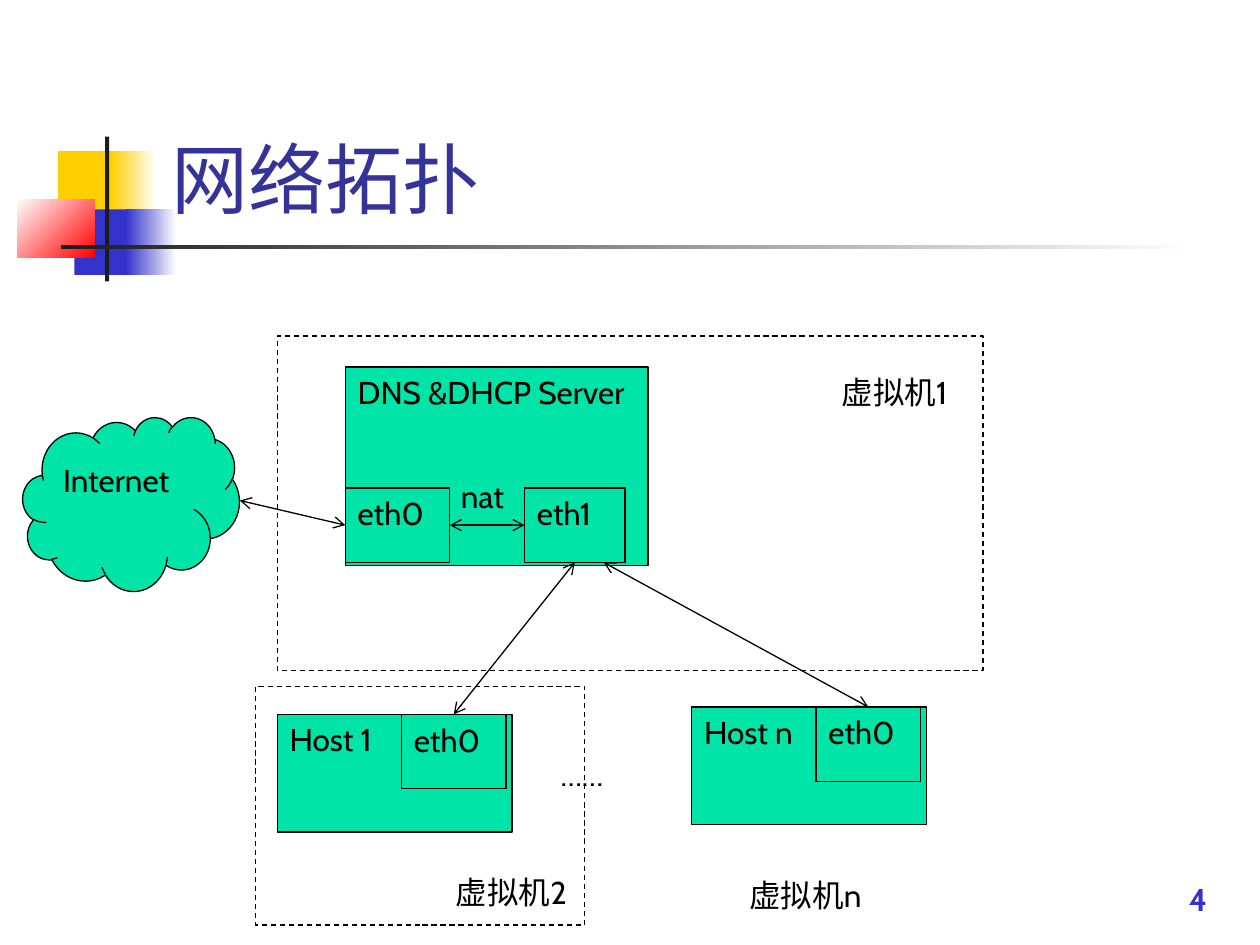
from dataclasses import dataclass

from lxml.etree import SubElement
from pptx import Presentation
from pptx.dml.color import RGBColor
from pptx.enum.dml import MSO_LINE
from pptx.enum.shapes import MSO_CONNECTOR, MSO_SHAPE
from pptx.enum.text import MSO_ANCHOR, MSO_AUTO_SIZE, PP_ALIGN
from pptx.oxml.ns import qn
from pptx.util import Pt


@dataclass(frozen=True)
class Theme:
    """Colours, font and sizes of the slide."""
    font: str = "Cabin"
    title_size: float = 44
    text_size: float = 18
    line_width: float = 0.75
    title: str = "333399"
    text: str = "000000"
    paper: str = "FFFFFF"
    node: str = "00E4A8"
    yellow: str = "FFCF01"
    blue: str = "3333CC"
    red: str = "FF0000"
    bar: str = "1C1C1C"


THEME = Theme()
TOP, LEFT, BOTTOM, RIGHT = 0, 1, 2, 3


def color(value):
    """Return an RGB colour from its hex form."""
    return RGBColor.from_string(value)


def write(shape, text, size=THEME.text_size, ink=THEME.text, bold=False,
          align=PP_ALIGN.LEFT, anchor=MSO_ANCHOR.TOP, margins=(7.2, 3.6),
          wrap=True, grow=False):
    """Put formatted text into a shape."""
    frame = shape.text_frame
    frame.auto_size = MSO_AUTO_SIZE.SHAPE_TO_FIT_TEXT if grow else MSO_AUTO_SIZE.NONE
    frame.word_wrap = wrap
    frame.vertical_anchor = anchor
    frame.margin_left, frame.margin_top = Pt(margins[0]), Pt(margins[1])
    paragraph = frame.paragraphs[0]
    paragraph.alignment = align
    run = paragraph.add_run()
    run.text = text
    run.font.name = THEME.font
    run.font.size = Pt(size)
    run.font.bold = bold
    run.font.color.rgb = color(ink)


def add_box(slide, left, top, width, height, fill, kind=MSO_SHAPE.RECTANGLE,
            fade_to=None, angle=0, outlined=False):
    """Add a preset shape with a plain or fading fill."""
    shape = slide.shapes.add_shape(kind, Pt(left), Pt(top), Pt(width), Pt(height))
    shape.shadow.inherit = False
    if fade_to:
        shape.fill.gradient()
        shape.fill.gradient_angle = angle
        for stop, value, position in zip(shape.fill.gradient_stops, (fill, fade_to), (0, 1)):
            stop.color.rgb = color(value)
            stop.position = position
    else:
        shape.fill.solid()
        shape.fill.fore_color.rgb = color(fill)
    if outlined:
        shape.line.color.rgb = color(THEME.text)
        shape.line.width = Pt(THEME.line_width)
    else:
        shape.line.fill.background()
    return shape


def add_node(slide, text, left, top, width, height, kind=MSO_SHAPE.RECTANGLE, **text_format):
    """Add a labelled green part of the network."""
    node = add_box(slide, left, top, width, height, THEME.node, kind, outlined=True)
    write(node, text, **text_format)
    return node


def add_frame(slide, left, top, width, height):
    """Add the dashed border of a virtual machine."""
    frame = add_box(slide, left, top, width, height, THEME.paper, outlined=True)
    frame.line.dash_style = MSO_LINE.DASH


def add_label(slide, text, left, top, width, height=28.8, **text_format):
    """Add free-standing text."""
    label = slide.shapes.add_textbox(Pt(left), Pt(top), Pt(width), Pt(height))
    write(label, text, **text_format)


def add_link(slide, begin, end):
    """Add a two-headed arrow between points or (shape, side) pairs."""
    link = slide.shapes.add_connector(MSO_CONNECTOR.STRAIGHT, 0, 0, 0, 0)
    if hasattr(begin[0], "shape_id"):
        link.begin_connect(*begin)
    else:
        link.begin_x, link.begin_y = Pt(begin[0]), Pt(begin[1])
    link.end_connect(*end)
    link.line.color.rgb = color(THEME.text)
    link.line.width = Pt(THEME.line_width)
    line = link.line._get_or_add_ln()
    for tag in ("a:headEnd", "a:tailEnd"):
        SubElement(line, qn(tag), type="arrow")
    SubElement(link._element.spPr, qn("a:effectLst"))


def add_host(slide, name, left, top):
    """Add a host and return its network interface."""
    add_node(slide, name, left, top, 134.2, 67.3)
    return add_node(slide, "eth0", left + 71, top, 59.8, 42.5)


def add_decoration(slide):
    """Add the coloured blocks and bars beside the title."""
    add_box(slide, 33.1, 86.4, 34.6, 37.4, THEME.yellow)
    add_box(slide, 63.4, 86.4, 25.9, 37.4, THEME.yellow, fade_to=THEME.paper)
    add_box(slide, 42.5, 119.7, 33.1, 37.4, THEME.blue)
    add_box(slide, 72, 119.7, 28.8, 37.4, THEME.blue, fade_to=THEME.paper)
    add_box(slide, 10, 113.8, 44, 33.5, THEME.paper, fade_to=THEME.red, angle=315)
    add_box(slide, 60, 78, 2.4, 82.8, THEME.bar)
    add_box(slide, 34.9, 140.1, 648, 2.5, THEME.bar, fade_to=THEME.paper)


def add_title(slide, text):
    """Place and fill the title placeholder."""
    title = slide.shapes.title
    title.left, title.top, title.width, title.height = Pt(90.7), Pt(16.6), Pt(613.4), Pt(115.2)
    write(title, text, size=THEME.title_size, ink=THEME.title, anchor=MSO_ANCHOR.BOTTOM)


def add_topology(slide):
    """Draw the machines and the links between them."""
    add_frame(slide, 146, 392.2, 188.2, 136.4)
    add_frame(slide, 158.4, 192, 403.4, 191.2)
    add_node(slide, "DNS &DHCP Server", 197.3, 209.7, 173, 113.3)
    outer = add_node(slide, "eth0", 197.3, 278.8, 59.8, 42.6)
    inner = add_node(slide, "eth1", 299.7, 278.8, 57.4, 42.6)
    first_host = add_host(slide, "Host 1", 158.4, 408.2)
    last_host = add_host(slide, "Host n", 395.3, 404)
    add_node(slide, "Internet", 13, 238.3, 123.8, 99.4, kind=MSO_SHAPE.CLOUD, margins=(6, 10))
    add_link(slide, (137, 286), (outer, LEFT))
    add_link(slide, (outer, RIGHT), (inner, LEFT))
    add_link(slide, (inner, BOTTOM), (first_host, TOP))
    add_link(slide, (345, 321.4), (last_host, TOP))
    labels = (("nat", 256.3, 269.3, 41.8), ("……", 313.2, 427.7, 42.5),
              ("虚拟机1", 473.8, 209.5, 82.8), ("虚拟机2", 253.4, 495.4, 82.8),
              ("虚拟机n", 421.2, 496.8, 83.5))
    for text, left, top, width in labels:
        add_label(slide, text, left, top, width, wrap=False, grow=True)


def main():
    """Build and save the slide."""
    presentation = Presentation()
    presentation.slide_width, presentation.slide_height = Pt(720), Pt(540)
    slide = presentation.slides.add_slide(presentation.slide_layouts[5])
    add_decoration(slide)
    add_title(slide, "网络拓扑")
    add_topology(slide)
    add_label(slide, "4", 468.7, 491.8, 228.2, 36, ink=THEME.blue, bold=True,
              align=PP_ALIGN.RIGHT, anchor=MSO_ANCHOR.BOTTOM)
    presentation.save("out.pptx")


if __name__ == "__main__":
    main()
